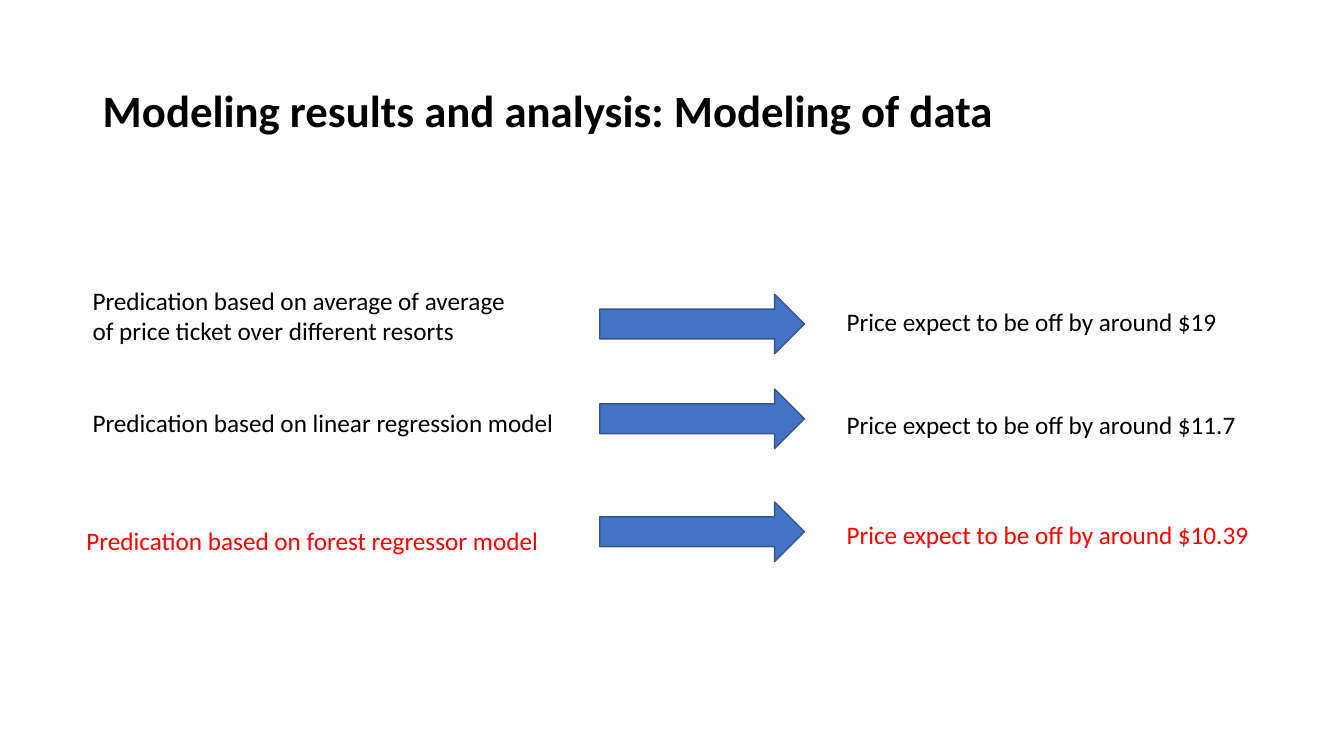
from dataclasses import dataclass

from pptx import Presentation
from pptx.dml.color import RGBColor
from pptx.enum import shapes, text
from pptx.slide import Slide
from pptx.util import Pt

COLORS = {
    "text": "000000",
    "best": "FF0000",
    "arrow": "4472C4",
    "arrow_line": "325491",
}
FONT = "Calibri"
ARROW_LEFT, ARROW_WIDTH, ARROW_HEIGHT = 428.4, 146.2, 42.5
RESULT_LEFT = 597.6
LINE_HEIGHT = 29


@dataclass
class Label:
    wording: str
    left: float
    top: float
    width: float
    height: float = LINE_HEIGHT
    wrap: bool = False


@dataclass
class ModelRow:
    method: Label
    arrow_top: float
    result: Label
    color: str = "text"


ROWS = [
    ModelRow(
        Label("Predication based on average of average of price ticket over different resorts",
              59, 200.2, 315.4, 51, wrap=True),
        210.2,
        Label("Price expect to be off by around $19", RESULT_LEFT, 215.3, 282.2),
    ),
    ModelRow(
        Label("Predication based on linear regression model", 59, 287.3, 360.7),
        277.9,
        Label("Price expect to be off by around $11.7", RESULT_LEFT, 288.7, 295.9),
    ),
    ModelRow(
        Label("Predication based on forest regressor model", 54.7, 371.5, 349.9),
        358.6,
        Label("Price expect to be off by around $10.39", RESULT_LEFT, 367.2, 305.3),
        color="best",
    ),
]


def rgb(name: str) -> RGBColor:
    return RGBColor.from_string(COLORS[name])


def format_text(frame: text.MSO_ANCHOR, size: float, color: str, bold: bool = False) -> None:
    for paragraph in frame.paragraphs:
        paragraph.alignment = text.PP_ALIGN.LEFT
        for run in paragraph.runs:
            run.font.name = FONT
            run.font.size = Pt(size)
            run.font.bold = bold
            run.font.color.rgb = rgb(color)


def add_title(slide: Slide, wording: str) -> None:
    title = slide.shapes.title
    title.left, title.top, title.width, title.height = Pt(66.2), Pt(28.8), Pt(828), Pt(104.4)
    frame = title.text_frame
    frame.text = wording
    frame.vertical_anchor = text.MSO_ANCHOR.MIDDLE
    frame.paragraphs[0].line_spacing = 0.9
    format_text(frame, 32, "text", bold=True)


def add_label(slide: Slide, label: Label, color: str) -> None:
    box = slide.shapes.add_textbox(Pt(label.left), Pt(label.top), Pt(label.width), Pt(label.height))
    frame = box.text_frame
    frame.word_wrap = label.wrap
    frame.auto_size = text.MSO_AUTO_SIZE.SHAPE_TO_FIT_TEXT
    frame.text = label.wording
    format_text(frame, 18, color)


def add_arrow(slide: Slide, top: float) -> None:
    arrow = slide.shapes.add_shape(
        shapes.MSO_SHAPE.RIGHT_ARROW, Pt(ARROW_LEFT), Pt(top), Pt(ARROW_WIDTH), Pt(ARROW_HEIGHT)
    )
    arrow.shadow.inherit = False
    arrow.fill.solid()
    arrow.fill.fore_color.rgb = rgb("arrow")
    arrow.line.color.rgb = rgb("arrow_line")
    arrow.line.width = Pt(1)


def main() -> None:
    presentation = Presentation()
    presentation.slide_width, presentation.slide_height = Pt(960), Pt(540)
    title_only = presentation.slide_layouts.get_by_name("Title Only")
    slide = presentation.slides.add_slide(title_only)
    add_title(slide, "Modeling results and analysis: Modeling of data")
    for row in ROWS:
        add_label(slide, row.method, row.color)
        add_arrow(slide, row.arrow_top)
        add_label(slide, row.result, row.color)
    presentation.save("out.pptx")


if __name__ == "__main__":
    main()
